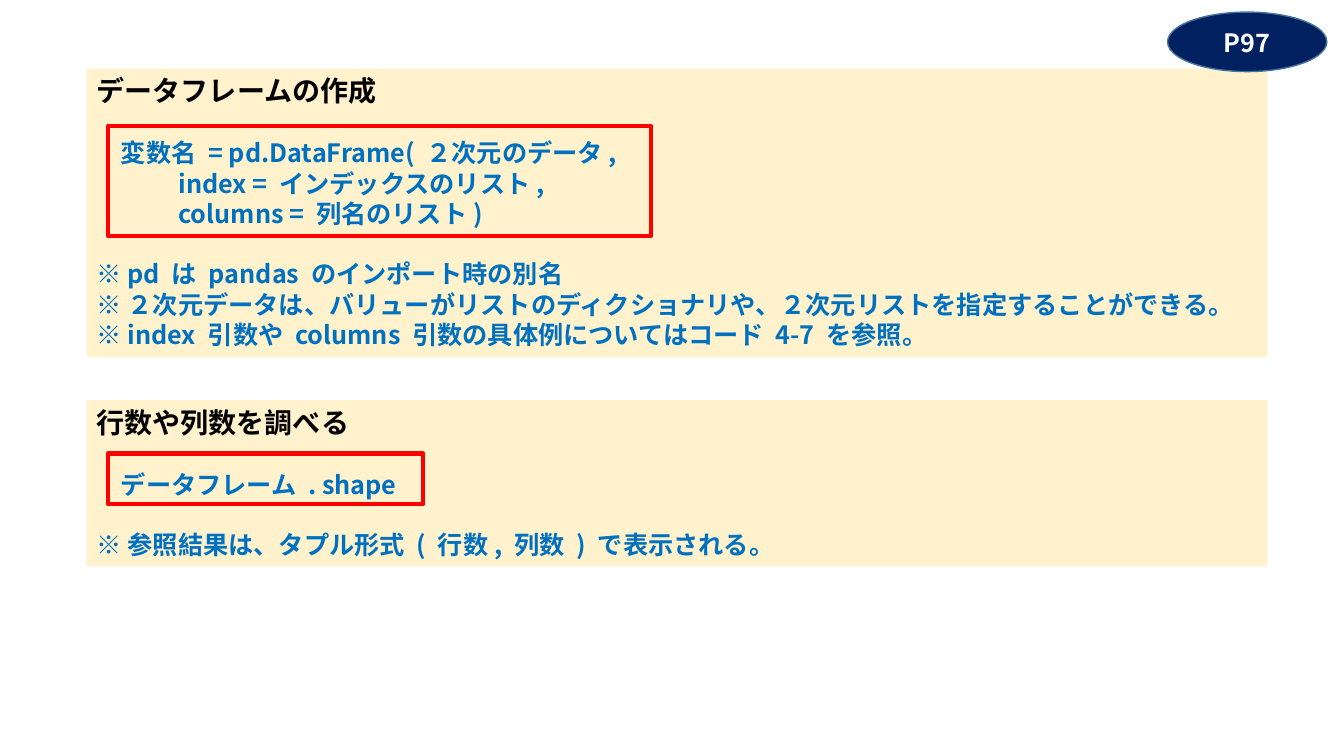
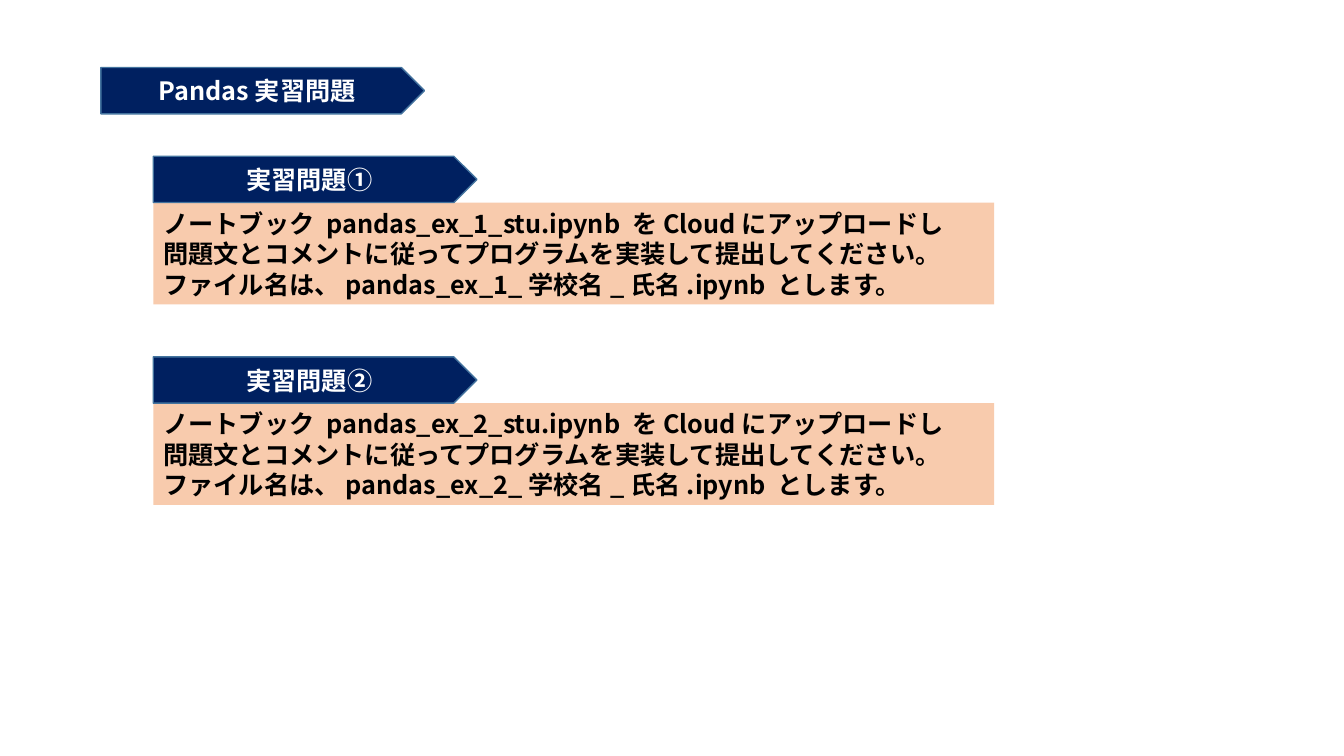
"""Build two slides on pandas data frames and exercises."""
from dataclasses import dataclass

from lxml.etree import SubElement
from pptx import Presentation
from pptx.dml.color import RGBColor
from pptx.enum.shapes import MSO_SHAPE
from pptx.enum.text import MSO_ANCHOR, MSO_AUTO_SIZE, PP_ALIGN
from pptx.oxml.ns import qn
from pptx.shapes.autoshape import Shape
from pptx.slide import Slide
from pptx.util import Inches, Pt

NAVY = RGBColor(0x00, 0x20, 0x60)
EDGE = RGBColor(0x43, 0x73, 0x9E)
CREAM = RGBColor(0xFF, 0xF2, 0xCC)
PEACH = RGBColor(0xF8, 0xCB, 0xAD)
BLUE = RGBColor(0x00, 0x70, 0xC0)
RED = RGBColor(0xFF, 0x00, 0x00)
BLACK = RGBColor(0x00, 0x00, 0x00)
WHITE = RGBColor(0xFF, 0xFF, 0xFF)
FONT = "Noto Sans CJK JP"
LEAD = 1.21
TAG_W, TAG_H, TIP = 3.21, 0.46, 0.11


@dataclass(frozen=True)
class Box:
    """Place and size in inches."""

    left: float
    top: float
    width: float
    height: float


@dataclass(frozen=True)
class Card:
    """A topic with its heading, framed code and notes."""

    box: Box
    head: str
    frame: Box
    code: tuple[str, ...]
    notes: tuple[str, ...]


@dataclass(frozen=True)
class Task:
    """An exercise label, its number and its top edge."""

    label: str
    num: int
    top: float


CARDS = (
    Card(
        Box(0.86, 0.68, 11.71, 2.86),
        "データフレームの作成",
        Box(1.07, 1.25, 5.39, 1.09),
        ("変数名 = pd.DataFrame( ２次元のデータ,",
         "index = インデックスのリスト,",
         "columns = 列名のリスト)"),
        ("※ pd は pandas のインポート時の別名",
         "※ ２次元データは、バリューがリストのディクショナリや、２次元リストを指定することができる。",
         "※ index 引数や columns 引数の具体例についてはコード 4-7 を参照。"),
    ),
    Card(
        Box(0.86, 3.97, 11.71, 1.65),
        "行数や列数を調べる",
        Box(1.07, 4.5, 3.13, 0.5),
        ("データフレーム . shape",),
        ("※ 参照結果は、タプル形式 ( 行数, 列数 ) で表示される。",),
    ),
)
TASKS = (Task("実習問題➀", 1, 1.55), Task("実習問題➁", 2, 3.54))


def place(shape: Shape, box: Box) -> None:
    """Move and size a shape."""
    shape.left, shape.top = Inches(box.left), Inches(box.top)
    shape.width, shape.height = Inches(box.width), Inches(box.height)


def write(shape: Shape, lines: tuple[str, ...], color: RGBColor,
          size: int = 18, align: PP_ALIGN = PP_ALIGN.LEFT,
          anchor: MSO_ANCHOR = MSO_ANCHOR.TOP, hang: float = 0) -> None:
    """Fill a shape with bold lines, indenting all but the first by hang."""
    frame = shape.text_frame
    frame.text = "\n".join(lines)
    frame.word_wrap = True
    frame.auto_size = MSO_AUTO_SIZE.NONE
    frame.vertical_anchor = anchor
    for row, para in enumerate(frame.paragraphs):
        para.alignment = align
        para.line_spacing = Pt(round(size * LEAD, 1))
        para.space_before = para.space_after = Pt(0)
        props = para._p.get_or_add_pPr()
        props.set("marL", str(Inches(hang if row else 0)))
        props.set("indent", "0")
        SubElement(props, qn("a:buNone"))
        for run in para.runs:
            font = run.font
            font.name, font.size, font.bold = FONT, Pt(size), True
            font.color.rgb = color
            SubElement(run._r.get_or_add_rPr(), qn("a:ea"), typeface=FONT)


def draw(slide: Slide, kind: MSO_SHAPE, box: Box, fill: RGBColor | None,
         line: RGBColor, width: float) -> Shape:
    """Add a flat preset shape."""
    shape = slide.shapes.add_shape(
        kind, Inches(box.left), Inches(box.top),
        Inches(box.width), Inches(box.height))
    shape.shadow.inherit = False
    if fill is None:
        shape.fill.background()
    else:
        shape.fill.solid()
        shape.fill.fore_color.rgb = fill
    shape.line.color.rgb = line
    shape.line.width = Pt(width)
    return shape


def badge(slide: Slide, kind: MSO_SHAPE, box: Box, text: str = "") -> None:
    """Add a navy label with centred white text."""
    shape = draw(slide, kind, box, NAVY, EDGE, 1)
    if text:
        write(shape, (text,), WHITE, align=PP_ALIGN.CENTER,
              anchor=MSO_ANCHOR.MIDDLE)


def panel(shape: Shape, box: Box, fill: RGBColor) -> None:
    """Turn a body placeholder into a filled panel."""
    place(shape, box)
    shape.fill.solid()
    shape.fill.fore_color.rgb = fill


def raise_up(shape: Shape) -> None:
    """Bring a shape to the front."""
    shape.element.getparent().append(shape.element)


def topic(slide: Slide, card: Card, body: Shape, head: Shape) -> None:
    """Lay out one topic card."""
    box, frame = card.box, card.frame
    panel(body, box, CREAM)
    write(body, card.notes, BLUE, anchor=MSO_ANCHOR.BOTTOM)
    body.text_frame.margin_bottom = Inches(0.07)
    place(head, Box(box.left, box.top, box.width, 0.44))
    write(head, (card.head,), BLACK, size=20)
    raise_up(head)
    code = draw(slide, MSO_SHAPE.RECTANGLE, frame, None, RED, 3)
    write(code, card.code, BLUE, hang=0.57)
    code.text_frame.margin_left = Inches(0.13)
    code.text_frame.margin_top = Inches(box.top + 0.68 - frame.top)
    code.text_frame.margin_bottom = 0


def frames(slide: Slide) -> None:
    """Build the slide on making and measuring data frames."""
    hold = slide.placeholders
    extra = slide.shapes.add_textbox(0, 0, 0, 0)
    heads = (slide.shapes.title, extra)
    for card, body, head in zip(CARDS, (hold[1], hold[2]), heads):
        topic(slide, card, body, head)
    badge(slide, MSO_SHAPE.OVAL, Box(11.58, 0.12, 1.58, 0.59), "P97")


def drills(slide: Slide) -> None:
    """Build the slide of exercises."""
    hold = slide.placeholders
    for task, body in zip(TASKS, (hold[1], hold[2])):
        badge(slide, MSO_SHAPE.PENTAGON,
              Box(1.52, task.top, TAG_W, TAG_H), task.label)
        panel(body, Box(1.52, task.top + TAG_H, 8.34, 1.01), PEACH)
        stem = f"pandas_ex_{task.num}_"
        write(body, (
            f"ノートブック {stem}stu.ipynb をCloudにアップロードし",
            "問題文とコメントに従ってプログラムを実装して提出してください。",
            f"ファイル名は、{stem}学校名_氏名.ipynb とします。"), BLACK)
    badge(slide, MSO_SHAPE.PENTAGON, Box(1, 0.67, TAG_W, TAG_H))
    title = slide.shapes.title
    place(title, Box(1, 0.67, TAG_W - TIP, TAG_H))
    write(title, ("Pandas実習問題",), WHITE, align=PP_ALIGN.CENTER,
          anchor=MSO_ANCHOR.MIDDLE)
    raise_up(title)


def main() -> None:
    """Build and save the deck."""
    deck = Presentation()
    deck.slide_width, deck.slide_height = Inches(13.33), Inches(7.5)
    plan = deck.slide_layouts.get_by_name("Two Content")
    for build in (frames, drills):
        build(deck.slides.add_slide(plan))
    deck.save("out.pptx")


if __name__ == "__main__":
    main()
